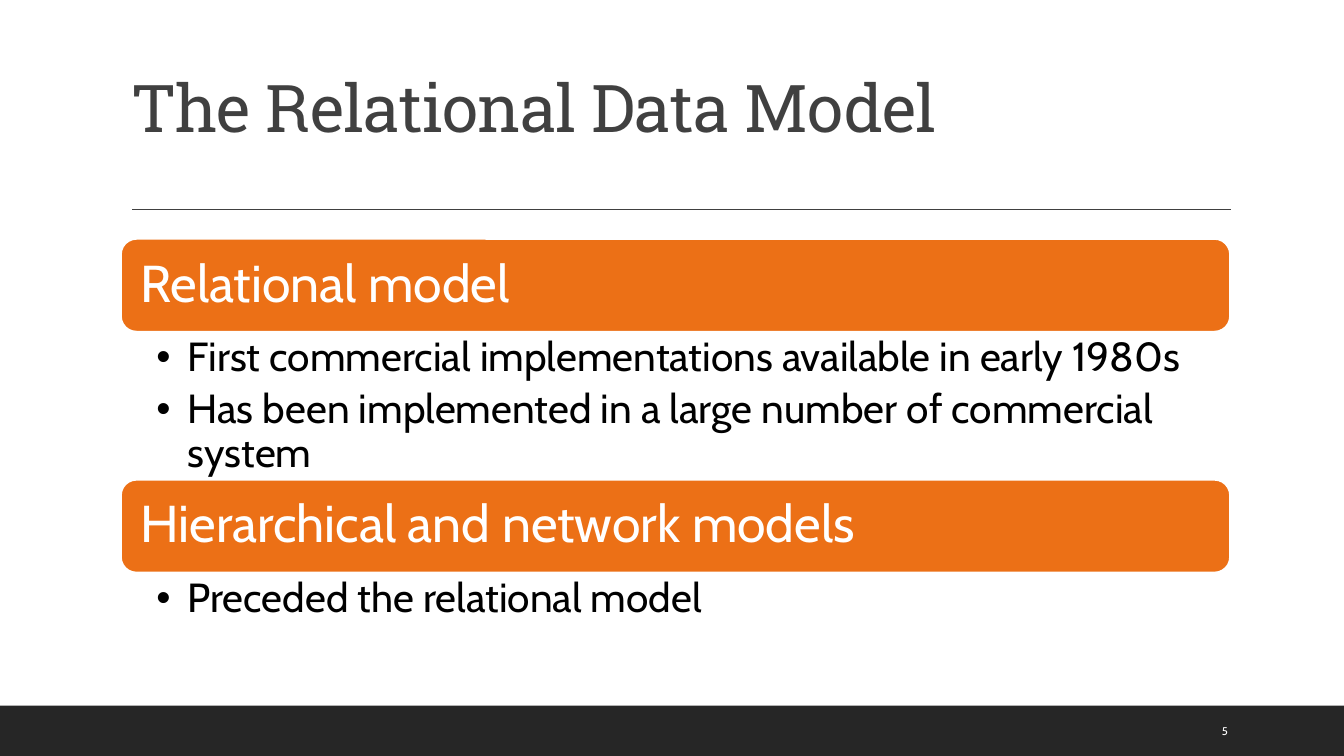
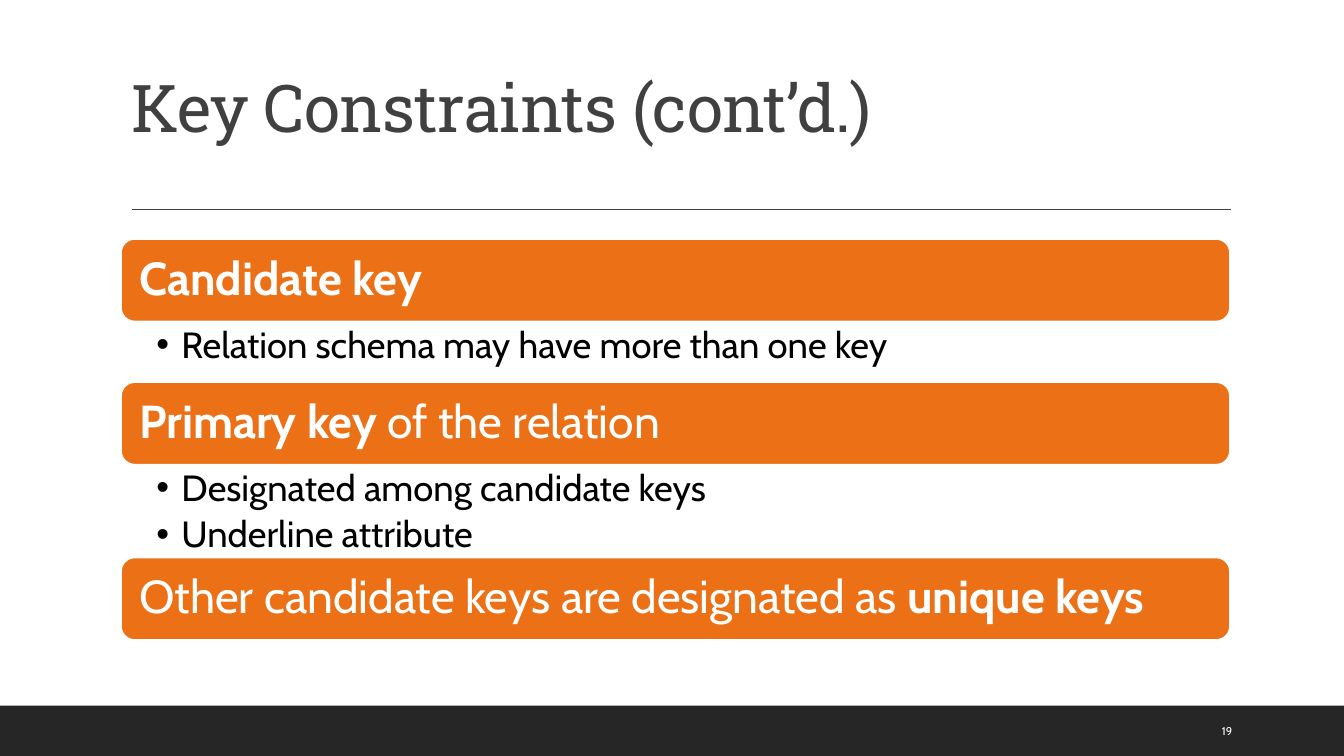
"""Build two lecture slides on relational models and key constraints."""
from pptx import Presentation
from pptx.dml.color import RGBColor
from pptx.enum.shapes import MSO_CONNECTOR, MSO_SHAPE as SHAPE
from pptx.enum.text import MSO_ANCHOR as ANCHOR, MSO_AUTO_SIZE as FIT, PP_ALIGN as ALIGN
from pptx.oxml.ns import qn
from pptx.util import Emu, Pt

PX = 9144
WHITE = RGBColor(0xFF, 0xFF, 0xFF)
BLACK = RGBColor(0, 0, 0)
GRAY = RGBColor(0x40, 0x40, 0x40)
CHARCOAL = RGBColor(0x26, 0x26, 0x26)
ORANGE = RGBColor(0xEC, 0x70, 0x16)
HEADING_FONT, BODY_FONT = "Roboto Slab", "Cabin"
LEFT, WIDTH, TOP = 120, 1100, 237
TWO_CONTENT = 3

SLIDES = [
    dict(title="The Relational Data Model", number="5",
         bar=dict(height=92, size=37, inset=15),
         points=dict(size=29, indent=31, right=29),
         sections=[
             ([("Relational model", False)], 147,
              ["First commercial implementations available in early 1980s",
               "Has been implemented in a large number of commercial system"]),
             ([("Hierarchical and network models", False)], 67,
              ["Preceded the relational model"])]),
    dict(title="Key Constraints (cont’d.)", number="19",
         bar=dict(height=82, size=33, inset=14),
         points=dict(size=26, indent=25, right=26),
         sections=[
             ([("Candidate key", True)], 60,
              ["Relation schema may have more than one key"]),
             ([("Primary key ", True), ("of the relation", False)], 92,
              ["Designated among candidate keys", "Underline attribute"]),
             ([("Other candidate keys are designated as ", False),
               ("unique keys", True)], 0, [])]),
]


def px(*lengths):
    return [Emu(length * PX) for length in lengths]


def apply(target, formats):
    for name, value in formats.items():
        setattr(target, name, value)


def set_frame(frame, insets, anchor):
    sides = ("margin_left", "margin_top", "margin_right", "margin_bottom")
    apply(frame, dict(zip(sides, px(*insets)), word_wrap=True,
                      auto_size=FIT.NONE, vertical_anchor=anchor))


def add_run(paragraph, text, size, color, font=BODY_FONT, bold=False):
    run = paragraph.add_run()
    run.text = text
    apply(run.font, dict(name=font, size=Pt(size), bold=bold))
    run.font.color.rgb = color
    return run


def place(shape, *box):
    apply(shape, dict(zip(("left", "top", "width", "height"), px(*box))))


def add_block(slide, preset, box, color):
    block = slide.shapes.add_shape(preset, *px(*box))
    block.shadow.inherit = False
    block.fill.solid()
    block.fill.fore_color.rgb = color
    return block


def add_frame(slide, title, number):
    band = add_block(slide, SHAPE.RECTANGLE, (0, 700, 1333, 50), CHARCOAL)
    band.line.fill.background()

    rule = slide.shapes.add_connector(MSO_CONNECTOR.STRAIGHT, *px(131, 208, 1221, 208))
    rule.line.color.rgb = GRAY
    rule.line.width = Pt(1)
    properties = rule._element.spPr
    properties.append(properties.makeelement(qn("a:effectLst"), {}))

    heading = slide.shapes.title
    place(heading, LEFT, 31, WIDTH, 159)
    set_frame(heading.text_frame, (10, 5, 10, 5), ANCHOR.MIDDLE)
    line = heading.text_frame.paragraphs[0]
    apply(line, dict(alignment=ALIGN.LEFT, line_spacing=0.9))
    run = add_run(line, title, 47, GRAY, HEADING_FONT)
    run.font._element.set("spc", "-50")

    page = slide.shapes.add_textbox(*px(1202, 705, 85, 40)).text_frame
    set_frame(page, (10, 5, 10, 5), ANCHOR.MIDDLE)
    add_run(page.paragraphs[0], number, 8, WHITE)


def add_bar(slide, top, runs, height, size, inset):
    bar = add_block(slide, SHAPE.ROUNDED_RECTANGLE, (LEFT, top, WIDTH, height), ORANGE)
    bar.line.color.rgb = WHITE
    bar.line.width = Pt(1.25)
    set_frame(bar.text_frame, [inset] * 4, ANCHOR.MIDDLE)
    label = bar.text_frame.paragraphs[0]
    apply(label, dict(alignment=ALIGN.LEFT, line_spacing=0.9, space_after=Pt(size * 0.35)))
    for text, bold in runs:
        add_run(label, text, size, WHITE, bold=bold)


def fill_points(body, top, height, points, size, indent, right):
    place(body, LEFT, top, WIDTH, height)
    frame = body.text_frame
    set_frame(frame, (35, 5, right, 5), ANCHOR.TOP)
    for index, text in enumerate(points):
        point = frame.add_paragraph() if index else frame.paragraphs[0]
        properties = point._p.get_or_add_pPr()
        properties.set("marL", str(indent * PX))
        properties.set("indent", str(-indent * PX))
        properties.append(properties.makeelement(qn("a:buChar"), {"char": "•"}))
        apply(point, dict(level=1, line_spacing=0.9, space_before=Pt(0),
                          space_after=Pt(size * 0.2)))
        add_run(point, text, size, BLACK)


def add_slide(deck, title, number, bar, points, sections):
    slide = deck.slides.add_slide(deck.slide_layouts[TWO_CONTENT])
    add_frame(slide, title, number)
    bodies = iter([slide.placeholders[1], slide.placeholders[2]])
    top = TOP
    for runs, list_height, texts in sections:
        add_bar(slide, top, runs, **bar)
        top += bar["height"]
        if texts:
            fill_points(next(bodies), top, list_height, texts, **points)
        top += list_height


def main():
    deck = Presentation()
    apply(deck, dict(zip(("slide_width", "slide_height"), px(1333, 750))))
    for content in SLIDES:
        add_slide(deck, **content)
    deck.save("out.pptx")


if __name__ == "__main__":
    main()
